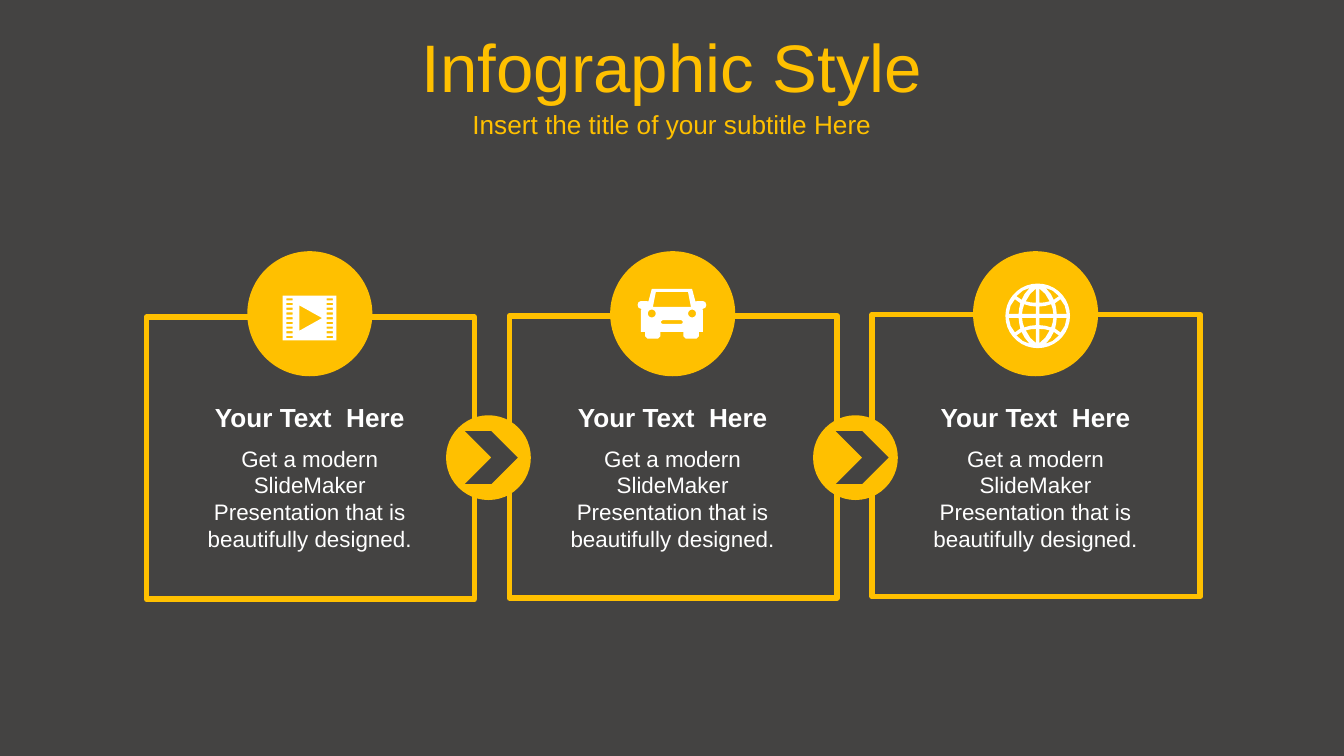
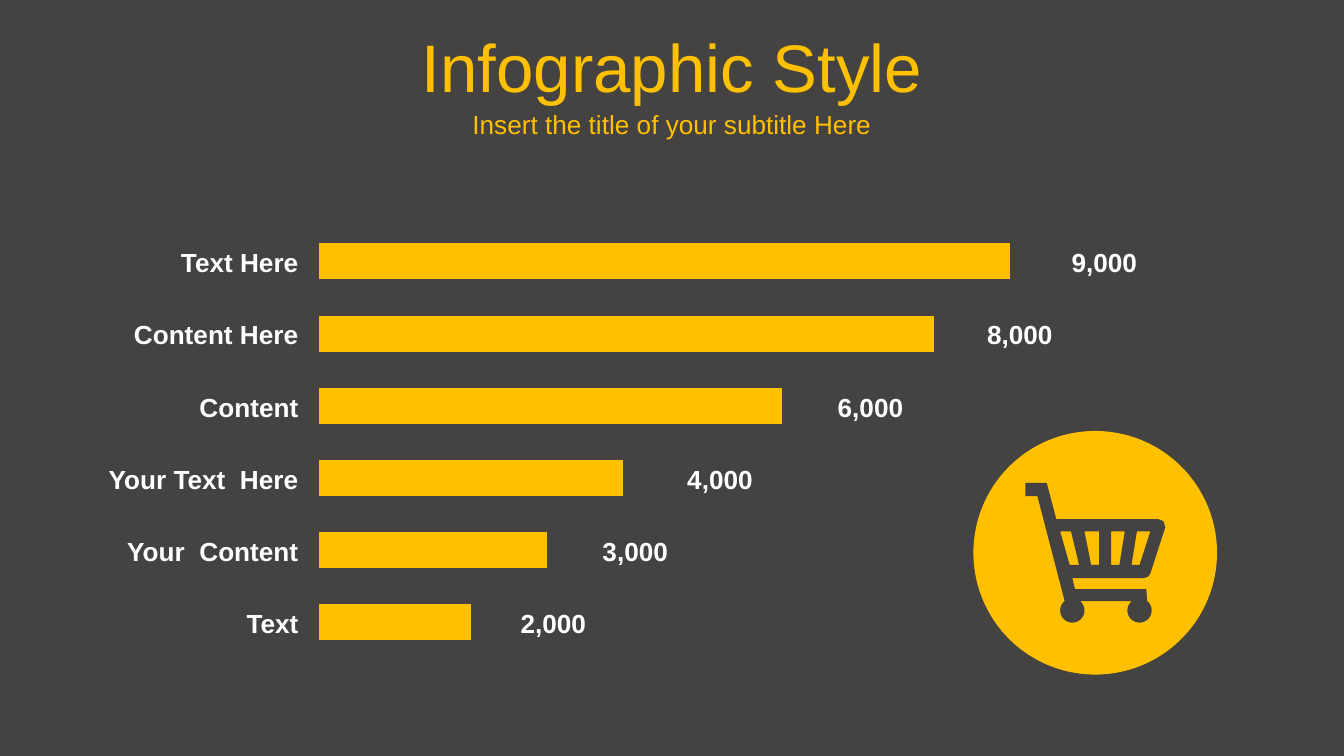
import math
from dataclasses import dataclass

import pptx
import pptx.chart.data
import pptx.dml.color
import pptx.enum.chart
import pptx.enum.shapes
import pptx.enum.text
import pptx.oxml
import pptx.util

Pt = pptx.util.Pt
SHAPES = pptx.enum.shapes.MSO_SHAPE
ALIGN = pptx.enum.text.PP_ALIGN
ANCHOR = pptx.enum.text.MSO_ANCHOR
AUTO_SIZE = pptx.enum.text.MSO_AUTO_SIZE
Color = pptx.dml.color.RGBColor
Contour = list[tuple[float, float]]


@dataclass(frozen=True)
class Theme:
    background: Color = Color(0x44, 0x43, 0x42)
    accent: Color = Color(0xFF, 0xC0, 0x00)
    light: Color = Color(0xFF, 0xFF, 0xFF)
    font: str = "Arial"
    title_size: float = 36
    heading_size: float = 14
    body_size: float = 12
    chart_size: float = 18
    frame_width: float = 3


THEME = Theme()


@dataclass(frozen=True)
class Box:
    left: float
    top: float
    width: float
    height: float

    def lengths(self) -> list[pptx.util.Length]:
        return [Pt(value) for value in (self.left, self.top, self.width, self.height)]


@dataclass(frozen=True)
class Icon:
    left: float
    top: float
    contours: list[Contour]


@dataclass(frozen=True)
class Card:
    heading: str
    body: str
    icon: Icon


@dataclass(frozen=True)
class Row:
    label: str
    value: str
    share: int
    value_left: float


# Outline geometry, in points
def rectangle(left: float, top: float, width: float, height: float) -> Contour:
    right, bottom = left + width, top + height
    return [(left, top), (right, top), (right, bottom), (left, bottom)]


def arc(x: float, y: float, radius: float, start: float = 0, end: float = 360) -> Contour:
    steps = 36
    angles = [math.radians(start + (end - start) * step / steps) for step in range(steps + 1)]
    return [(x + radius * math.cos(angle), y + radius * math.sin(angle)) for angle in angles]


def mirrored(half: Contour) -> Contour:
    return half + [(-x, y) for x, y in reversed(half)]


def film_contours() -> list[Contour]:
    holes = [rectangle(x, 1.4 + 2.52 * row, 3.4, 1.2) for row in range(9) for x in (2, 23.6)]
    return [rectangle(0, 0, 28.8, 24), *holes, [(9, 5.2), (9, 18.8), (21.2, 12)]]


def car_contours() -> list[Contour]:
    body = [(10.8, 0), (12.6, 6.8), (13.7, 6.5), (16.6, 6.5), (17.9, 7.1), (18.4, 8.6),
            (17.9, 10.1), (16.3, 10.8), (16.6, 11.5), (16.6, 23), (14.4, 23), (14.4, 25.4),
            (13.2, 26.6), (7.4, 26.6), (6.2, 25.4), (6.2, 23)]
    window = [(8.6, 1.6), (10.2, 9.6)]
    grille = [(5, 16.8), (5.8, 17.3), (5.8, 18.3), (5, 18.8)]
    lamps = [arc(x, 13.2, 2.1) for x in (-10.8, 10.8)]
    return [mirrored(body), mirrored(window), mirrored(grille), *lamps]


def globe_contours() -> list[Contour]:
    quarter = [
        [(0.9, 1.1), (0.9, 5), (4, 5.3), (7.2, 6.2), (8, 3.8), (8.4, 1.1)],
        [(10.2, 1.1), (9.9, 4), (9.3, 6.8), (12.2, 8.9), (14.5, 5.4), (15.5, 1.1)],
        [(0.9, 7), (0.9, 14.6), (4, 11.8), (6.4, 7.8), (3.8, 7.2)],
        [(8.6, 8.6), (7, 11.7), (4.3, 14.9), (8, 13.5), (11.4, 10.5)],
    ]
    cells = [[(x * across, y * down) for x, y in cell]
             for cell in quarter for across in (-1, 1) for down in (-1, 1)]
    return [arc(0, 0, 17.3), *cells]


def cart_contours() -> list[Contour]:
    wheels = [arc(x, 68.4, 6.5, -51, 231) for x in (61.2, 25.2)]
    frame = [(0, 0), (11.5, 0), (16.6, 19.4), (71.3, 19.4), (74, 20.6), (75, 23.8),
             (67, 48.6), (65.6, 50.4), (63.4, 51.1), (25.2, 51.1), (26.6, 56.9),
             (64.8, 56.9), *wheels[0], *wheels[1], (6.5, 7.2), (0, 7.2)]
    gaps = [(59.8, 67, 56.9, 61.2), (46, 53.3, 46, 50.4),
            (31.7, 39.6, 35.3, 39.6), (18.7, 24.5, 23.8, 28.8)]
    return [frame] + [[(a, 26), (b, 26), (d, 44), (c, 44)] for a, b, c, d in gaps]


# Slide content
BODY = "Get a modern SlideMaker Presentation that is beautifully designed."
CARDS = [
    Card("Your Text  Here", BODY, Icon(151.4, 158.4, film_contours())),
    Card("Your Text  Here", BODY, Icon(360, 154.8, car_contours())),
    Card("Your Text  Here", BODY, Icon(555.9, 169.2, globe_contours())),
]
CARD_PITCH = 194.4
CHEVRON_OFFSETS = [10.1, 12.2]
ROWS = [
    Row("Text Here", "9,000", 100, 558.7),
    Row("Content Here", "8,000", 89, 513.4),
    Row("Content", "6,000", 67, 433.4),
    Row("Your Text  Here", "4,000", 44, 352.8),
    Row("Your  Content", "3,000", 33, 307.4),
    Row("Text", "2,000", 22, 263.5),
]
ROW_TOP, ROW_PITCH = 128.2, 38.7


# Drawing functions
def write_text(shape, text: str, size: float, color: Color, align: ALIGN,
               bold: bool = False, anchor: ANCHOR = ANCHOR.MIDDLE) -> None:
    frame = shape.text_frame
    frame.word_wrap = True
    frame.auto_size = AUTO_SIZE.NONE
    frame.vertical_anchor = anchor
    paragraph = frame.paragraphs[0]
    paragraph.alignment = align
    run = paragraph.add_run()
    run.text = text
    run.font.name = THEME.font
    run.font.size = Pt(size)
    run.font.bold = bold
    run.font.color.rgb = color


def add_text(slide, box: Box, *style, **options) -> None:
    write_text(slide.shapes.add_textbox(*box.lengths()), *style, **options)


def fill_shape(shape, color: Color) -> None:
    shape.shadow.inherit = False
    shape.fill.solid()
    shape.fill.fore_color.rgb = color
    shape.line.fill.background()


def add_filled(slide, kind: SHAPES, box: Box, color: Color) -> None:
    fill_shape(slide.shapes.add_shape(kind, *box.lengths()), color)


def add_frame(slide, box: Box) -> None:
    shape = slide.shapes.add_shape(SHAPES.RECTANGLE, *box.lengths())
    shape.shadow.inherit = False
    shape.fill.background()
    shape.line.color.rgb = THEME.accent
    shape.line.width = Pt(THEME.frame_width)


def add_icon(slide, icon: Icon, color: Color) -> None:
    # The builder takes whole units, so one unit is a hundredth of a point
    placed = [[((icon.left + x) * 100, (icon.top + y) * 100) for x, y in contour]
              for contour in icon.contours]
    builder = slide.shapes.build_freeform(*placed[0][0], scale=Pt(1) / 100)
    for index, contour in enumerate(placed):
        if index:
            builder.move_to(*contour[0])
        builder.add_line_segments(contour[1:], close=True)
    fill_shape(builder.convert_to_shape(), color)


def add_titled_slide(presentation):
    slide = presentation.slides.add_slide(presentation.slide_layouts[5])
    title = slide.shapes.title
    title.left, title.top, title.width, title.height = Box(0, 12.2, 720, 45.4).lengths()
    write_text(title, "Infographic Style", THEME.title_size, THEME.accent, ALIGN.CENTER)
    add_text(slide, Box(0, 55.4, 720, 22.3), "Insert the title of your subtitle Here",
             THEME.heading_size, THEME.accent, ALIGN.CENTER)
    return slide


def add_card(slide, index: int, card: Card) -> None:
    shift = index * CARD_PITCH
    add_frame(slide, Box(78.5 + shift, 169.9 - 0.7 * index, 175.7, 151.2))
    add_filled(slide, SHAPES.OVAL, Box(132.5 + shift, 134.6, 67, 67), THEME.accent)
    add_icon(slide, card.icon, THEME.light)
    add_text(slide, Box(94.3 + shift, 234.7, 143.3, 65.5), card.body, THEME.body_size,
             THEME.light, ALIGN.CENTER, anchor=ANCHOR.TOP)
    add_text(slide, Box(94.3 + shift, 211.7, 143.3, 24.5), card.heading, THEME.heading_size,
             THEME.light, ALIGN.CENTER, bold=True, anchor=ANCHOR.TOP)


def add_bar_chart(slide, box: Box) -> None:
    data = pptx.chart.data.CategoryChartData()
    data.categories = [str(number + 1) for number in range(len(ROWS))]
    data.add_series("Series 1", [row.share for row in reversed(ROWS)])
    chart = slide.shapes.add_chart(
        pptx.enum.chart.XL_CHART_TYPE.BAR_STACKED, *box.lengths(), data).chart
    chart.has_legend = False
    chart.has_title = False
    chart.font.name = THEME.font
    chart.font.size = Pt(THEME.chart_size)
    for axis in (chart.category_axis, chart.value_axis):
        axis.has_major_gridlines = False
        axis.visible = False
    chart.value_axis.minimum_scale = 0
    chart.value_axis.maximum_scale = 111
    plot = chart.plots[0]
    plot.gap_width = 100
    plot.overlap = 100
    plot.vary_by_categories = False
    fill = plot.series[0].format.fill
    fill.solid()
    fill.fore_color.rgb = THEME.accent

    # Fixed inner plot area
    plot_area = chart._chartSpace.chart.plotArea
    for layout in plot_area.findall(pptx.oxml.ns.qn("c:layout")):
        plot_area.remove(layout)
    settings = [("layoutTarget", "inner"), ("xMode", "edge"), ("yMode", "edge"),
                ("x", 0.023), ("y", 0.034), ("w", 0.966), ("h", 0.931)]
    entries = "".join(f'<c:{name} val="{value}"/>' for name, value in settings)
    plot_area.insert(0, pptx.oxml.parse_xml(
        f'<c:layout {pptx.oxml.ns.nsdecls("c")}><c:manualLayout>{entries}'
        "</c:manualLayout></c:layout>"))


# Slides
def build_process_slide(presentation) -> None:
    slide = add_titled_slide(presentation)
    for index, card in enumerate(CARDS):
        add_card(slide, index, card)
    for index, offset in enumerate(CHEVRON_OFFSETS):
        left = 239 + 196.6 * index
        add_filled(slide, SHAPES.OVAL, Box(left, 222.5, 45.4, 45.4), THEME.accent)
        add_filled(slide, SHAPES.CHEVRON, Box(left + offset, 231, 28.3, 28.3), THEME.background)


def build_chart_slide(presentation) -> None:
    slide = add_titled_slide(presentation)
    add_bar_chart(slide, Box(161.3, 112.3, 425.5, 249.1))
    for index, row in enumerate(ROWS):
        top = ROW_TOP + ROW_PITCH * index
        for text, left, width in ((row.label, 48.2, 118.8), (row.value, row.value_left, 57.6)):
            add_text(slide, Box(left, top, width, 24.5), text, THEME.heading_size,
                     THEME.light, ALIGN.RIGHT, bold=True)
    add_filled(slide, SHAPES.OVAL, Box(521.5, 230.9, 130.5, 130.5), THEME.accent)
    add_icon(slide, Icon(549.3, 258.7, cart_contours()), THEME.background)


def main() -> None:
    presentation = pptx.Presentation()
    presentation.slide_width = Pt(720)
    presentation.slide_height = Pt(405)
    background = presentation.slide_master.background.fill
    background.solid()
    background.fore_color.rgb = THEME.background
    build_process_slide(presentation)
    build_chart_slide(presentation)
    presentation.save("out.pptx")


if __name__ == "__main__":
    main()
